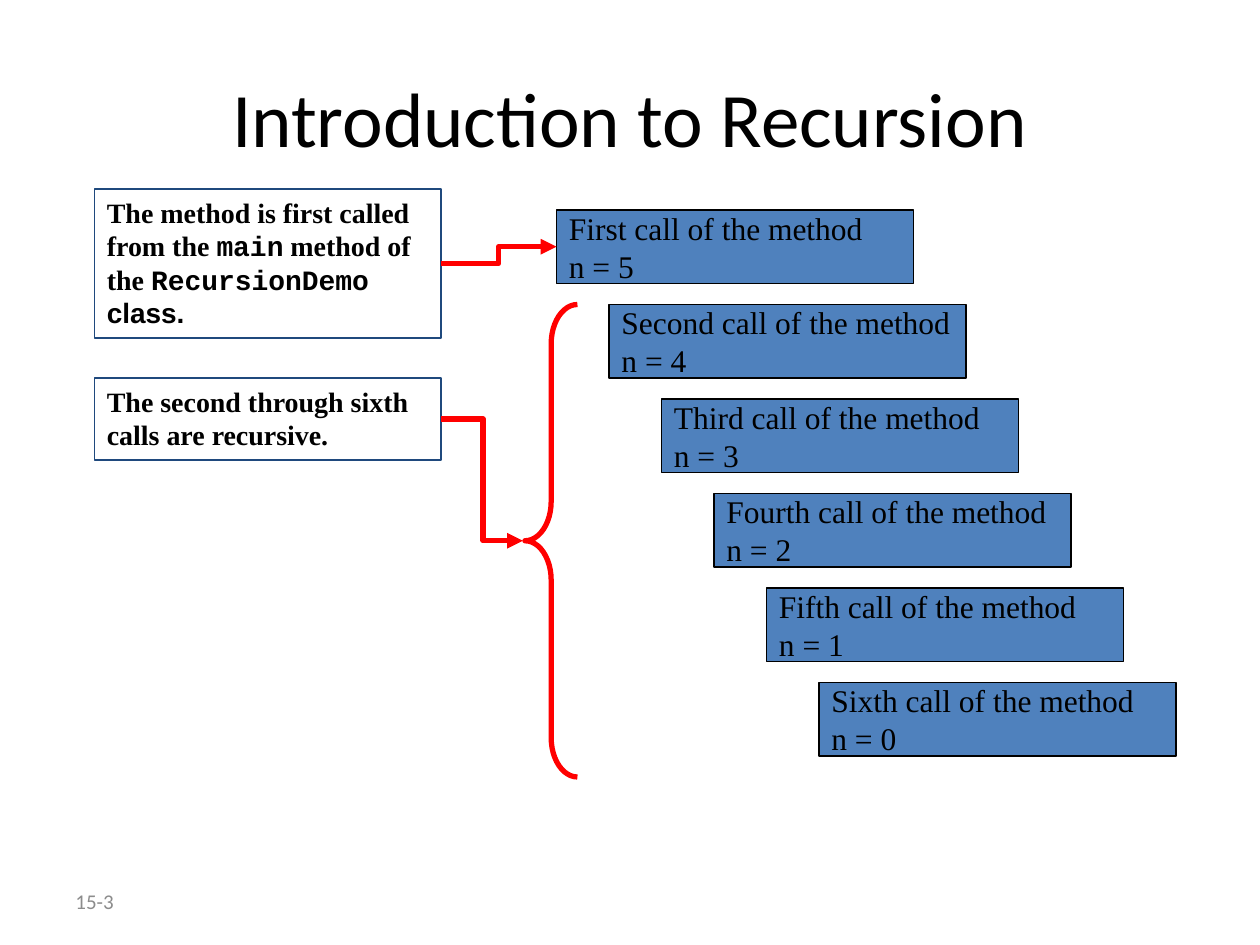
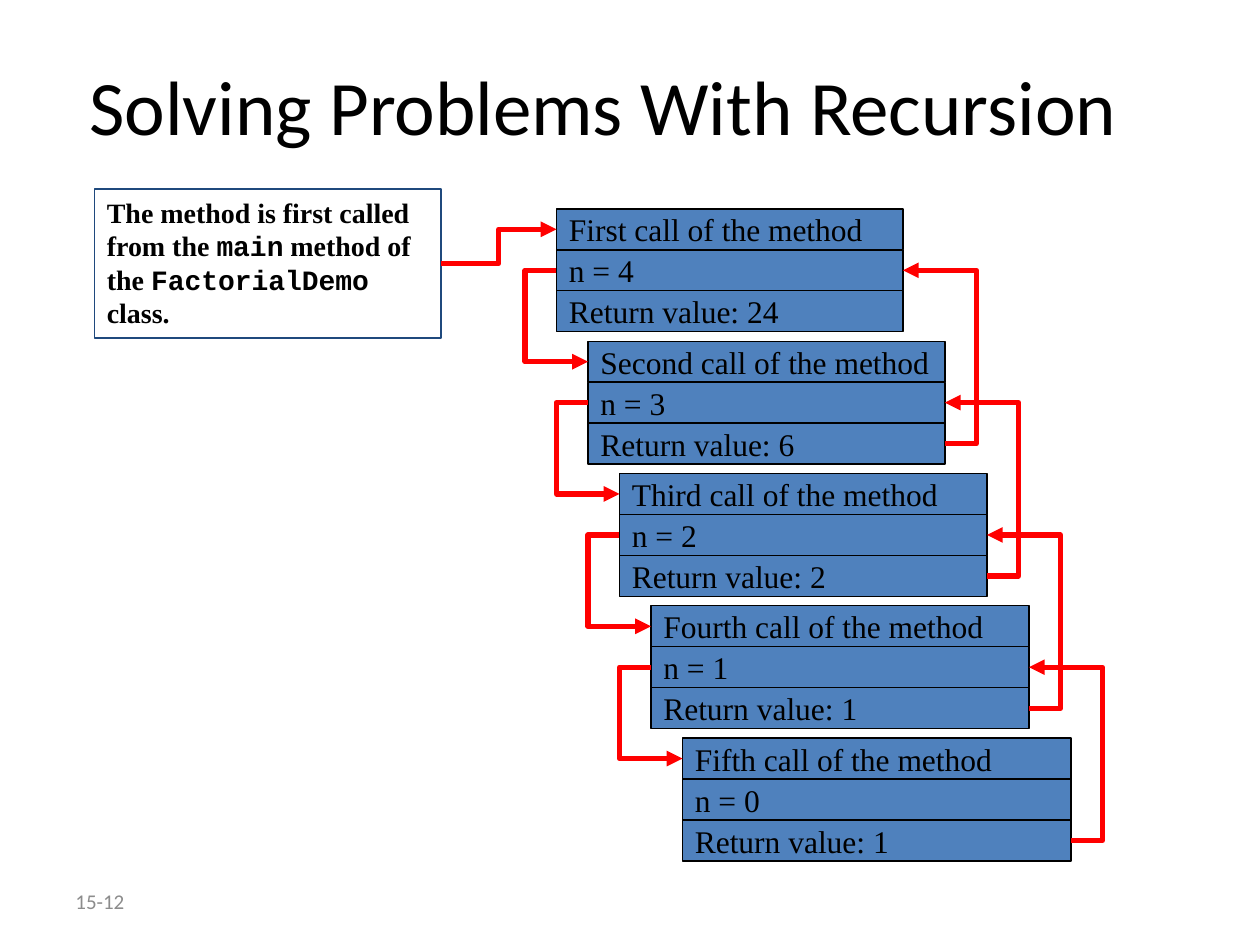
from dataclasses import dataclass

from lxml.etree import SubElement as Sub
from pptx import Presentation
from pptx.dml.color import RGBColor as Rgb
from pptx.enum.shapes import MSO_CONNECTOR as Link, MSO_SHAPE as Kind
from pptx.enum.text import MSO_ANCHOR as Anchor, MSO_AUTO_SIZE as Fit, PP_ALIGN as Align
from pptx.oxml.ns import qn
from pptx.util import Pt

SCALE = 7620


@dataclass(frozen=True)
class Theme:
    ink: Rgb = Rgb(0, 0, 0)
    gray: Rgb = Rgb(0x8C, 0x8C, 0x8C)
    blue: Rgb = Rgb(0x4F, 0x81, 0xBD)
    navy: Rgb = Rgb(0x1F, 0x49, 0x7D)
    red: Rgb = Rgb(0xFF, 0, 0)
    sans: str = "Calibri"
    serif: str = "Times New Roman"
    mono: str = "Courier New"
    plain: str = "Arial"
    title: int = 44
    body: int = 18
    note: int = 16
    foot: int = 12
    thin: float = 0.75
    edge: int = 1
    bold: int = 3


T = Theme()


def px(*nums):
    return [round(n * SCALE) for n in nums]


def style(para, size, face, color=T.ink, bold=False, align=Align.LEFT):
    font = para.font
    font.size, font.name, font.bold = Pt(size), face, bold
    font.color.rgb = color
    para.alignment = align


def label(slide, text, area, size, color, align):
    frame = slide.shapes.add_textbox(*px(*area)).text_frame
    frame.word_wrap = True
    frame.vertical_anchor = Anchor.MIDDLE
    frame.text = text
    style(frame.paragraphs[0], size, T.sans, color, align=align)


def page(deck, title, area, number):
    slide = deck.slides.add_slide(deck.slide_layouts[6])
    label(slide, number, (60, 834, 280, 48), T.foot, T.gray, Align.LEFT)
    label(slide, title, area, T.title, T.ink, Align.CENTER)
    return slide


def form(slide, kind, area, line, width, fill=None):
    shape = slide.shapes.add_shape(kind, *px(*area))
    shape.shadow.inherit = False
    if fill is None:
        shape.fill.background()
    else:
        shape.fill.solid()
        shape.fill.fore_color.rgb = fill
    shape.line.color.rgb = line
    shape.line.width = Pt(width)
    return shape


def box(slide, area, text):
    frame = form(slide, Kind.RECTANGLE, area, T.ink, T.thin, T.blue).text_frame
    frame.word_wrap = False
    frame.vertical_anchor = Anchor.MIDDLE
    frame.text = text
    for para in frame.paragraphs:
        style(para, T.body, T.serif)


def note(slide, top, height, parts):
    area = 90, top, 330, height
    frame = form(slide, Kind.RECTANGLE, area, T.navy, T.edge).text_frame
    frame.word_wrap = True
    frame.auto_size = Fit.SHAPE_TO_FIT_TEXT
    frame.vertical_anchor = Anchor.TOP
    para = frame.paragraphs[0]
    style(para, T.note, T.serif, bold=True)
    for text, face in parts:
        run = para.add_run()
        run.text = text
        run.font.name = face


def start(slide, *tail):
    parts = [("The method is first called from the ", T.serif), ("main", T.mono),
             (" method of the ", T.serif), *tail]
    note(slide, 180, 142, parts)


def arrow(slide, head, tip, bend):
    line = slide.shapes.add_connector(Link.ELBOW, *px(*head, *tip))
    line.line.color.rgb = T.red
    line.line.width = Pt(T.bold)
    props = line._element.spPr
    Sub(props.find(qn("a:ln")), qn("a:tailEnd"), type="triangle")
    Sub(props, qn("a:effectLst"))
    ratio = (bend - head[0]) / (tip[0] - head[0])
    guides = props.find(qn("a:prstGeom")).get_or_add_avLst()
    Sub(guides, qn("a:gd"), name="adj1", fmla=f"val {round(ratio * 100000)}")


def intro(deck):
    slide = page(deck, "Introduction to Recursion", (60, 36, 1080, 150), "15-3")
    names = "First", "Second", "Third", "Fourth", "Fifth", "Sixth"
    for i, name in enumerate(names):
        area = 530 + 50 * i, 200 + 90 * i, 340, 70
        box(slide, area, f"{name} call of the method\nn = {5 - i}")
    start(slide, ("RecursionDemo ", T.mono), ("class.", T.plain))
    note(slide, 360, 78, [("The second through sixth calls are recursive.", T.serif)])
    brace = form(slide, Kind.LEFT_BRACE, (500, 290, 50, 450), T.red, T.bold)
    brace.adjustments[0] = 0.75
    arrow(slide, (420, 399), (498, 515), 460)
    arrow(slide, (420, 251), (530, 235), 475)


def solve(deck):
    slide = page(deck, "Solving Problems With Recursion", (40, 40, 1070, 120), "15-12")
    row, step, top = 39, 126, 199
    calls = ("First", 24), ("Second", 6), ("Third", 2), ("Fourth", 1), ("Fifth", 1)
    spots = [(530 + 30 * i, top + step * i, 330 + 10 * i) for i in range(len(calls))]
    for i, ((name, value), (x, y, width)) in enumerate(zip(calls, spots)):
        lines = f"{name} call of the method", f"n = {4 - i}", f"Return value: {value}"
        for j, text in enumerate(lines):
            box(slide, (x, y + row * j, width, row), text)
    for (x, y, width), (x2, y2, width2) in zip(spots, spots[1:]):
        mid = y + row * 1.5
        right = x2 + width2
        arrow(slide, (x, mid), (x2, y2 + row / 2), x - 30)
        arrow(slide, (right, y2 + row * 2.5), (x + width, mid), right + 30)
    start(slide, ("FactorialDemo", T.mono), (" class.", T.serif))
    arrow(slide, (420, 251), (530, top + row / 2), 475)


def main():
    deck = Presentation()
    deck.slide_width, deck.slide_height = px(1200, 900)
    intro(deck)
    solve(deck)
    deck.save("out.pptx")


if __name__ == "__main__":
    main()
